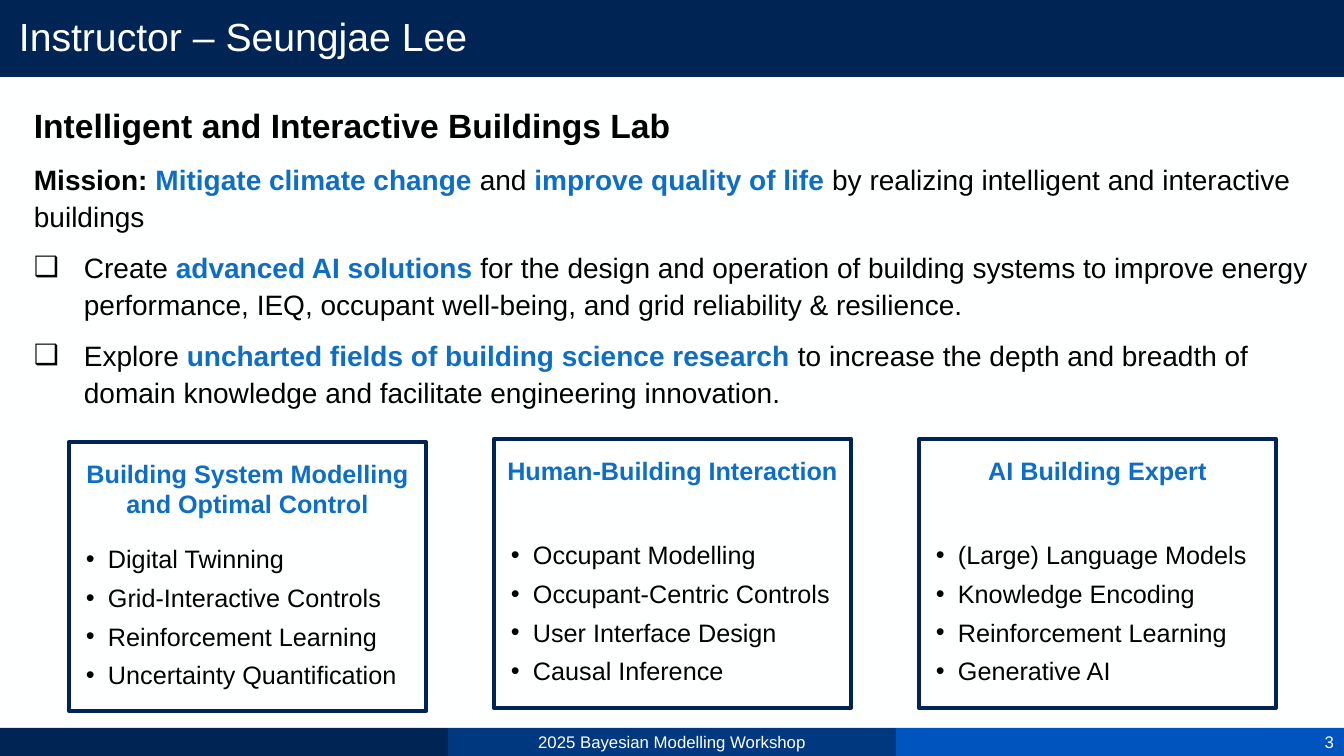
from dataclasses import dataclass

from lxml.etree import SubElement
from pptx import Presentation
from pptx.dml.color import RGBColor
from pptx.enum.shapes import MSO_SHAPE as Shape
from pptx.enum.text import MSO_ANCHOR as Anchor, PP_ALIGN as Align
from pptx.oxml.ns import qn
from pptx.util import Pt

PAGE_WIDTH, PAGE_HEIGHT = 1344, 756
HEADER_HEIGHT, FOOTER_HEIGHT = 77, 28


@dataclass(frozen=True)
class Theme:
    font: str = "Arial"
    paper: str = "FEFFFF"
    ink: str = "000000"
    accent: str = "0E6EC6"
    navy: str = "002554"
    blue: str = "00387F"
    bright: str = "0054BE"
    title: int = 28
    heading: int = 24
    body: int = 20
    card: int = 18
    footer: int = 12


THEME = Theme()

# Phrases between asterisks are highlighted.
GOALS = [
    "Create *advanced AI solutions* for the design and operation of building systems to improve "
    "energy performance, IEQ, occupant well-being, and grid reliability & resilience.",
    "Explore *uncharted fields of building science research* to increase the depth and breadth of "
    "domain knowledge and facilitate engineering innovation.",
]

# Top edge, space after the title, title, topics.
CARDS = [
    (442, 18, "Building System Modelling and Optimal Control",
     ["Digital Twinning", "Grid-Interactive Controls", "Reinforcement Learning",
      "Uncertainty Quantification"]),
    (439, 39, "Human-Building Interaction",
     ["Occupant Modelling", "Occupant-Centric Controls", "User Interface Design",
      "Causal Inference"]),
    (439, 39, "AI Building Expert",
     ["(Large) Language Models", "Knowledge Encoding", "Reinforcement Learning",
      "Generative AI"]),
]


def px(length):
    return round(length * 914400 / 100.8)


def rgb(color):
    return RGBColor.from_string(color)


def add_box(page, left, top, width, height, fill, line=None):
    box = page.shapes.add_shape(Shape.RECTANGLE, px(left), px(top), px(width), px(height))
    box.shadow.inherit = False
    box.fill.solid()
    box.fill.fore_color.rgb = rgb(fill)
    if line:
        box.line.color.rgb = rgb(line)
        box.line.width = Pt(3)
    else:
        box.line.fill.background()
    return box


def add_text_frame(page, left, top, width, height, anchor=Anchor.TOP):
    frame = page.shapes.add_textbox(px(left), px(top), px(width), px(height)).text_frame
    frame.word_wrap = True
    frame.vertical_anchor = anchor
    return frame


def add_span(para, text, size, color=THEME.ink, bold=False):
    span = para.add_run()
    span.text = text
    span.font.name = THEME.font
    span.font.size = Pt(size)
    span.font.bold = bold
    span.font.color.rgb = rgb(color)


def add_para(frame, text, size, align=Align.LEFT, color=THEME.ink, bold=False,
             before=0, after=0, spacing=1.0, bullet=None, margin=0, hang=0):
    """Add a paragraph, using the frame's first one while it is still empty."""
    first = frame.paragraphs[0]
    para = frame.add_paragraph() if first.runs else first
    para.alignment = align
    para.space_before, para.space_after = Pt(before), Pt(after)
    para.line_spacing = spacing
    if bullet:
        properties = para._p.get_or_add_pPr()
        properties.set("marL", str(px(margin)))
        properties.set("indent", str(-px(hang)))
        SubElement(properties, qn("a:buFont"), typeface=THEME.font)
        SubElement(properties, qn("a:buChar"), char=bullet)
    for index, part in enumerate(text.split("*")):
        if part and index % 2:
            add_span(para, part, size, THEME.accent, True)
        elif part:
            add_span(para, part, size, color, bold)
    return para


def add_header(page, title):
    add_box(page, 0, 0, PAGE_WIDTH, HEADER_HEIGHT, THEME.navy)
    frame = add_text_frame(page, 9, 4, 1325, 69, Anchor.MIDDLE)
    add_para(frame, title, THEME.title, color=THEME.paper, spacing=0.9)


def add_footer(page, event, number):
    top = PAGE_HEIGHT - FOOTER_HEIGHT
    third = PAGE_WIDTH // 3
    for column, fill in enumerate((THEME.navy, THEME.blue, THEME.bright)):
        add_box(page, column * third, top, third, FOOTER_HEIGHT, fill)
    for left, width, text, align in ((third, third, event, Align.CENTER),
                                     (1282, 62, number, Align.RIGHT)):
        frame = add_text_frame(page, left, top - 1, width, 30, Anchor.MIDDLE)
        add_para(frame, text, THEME.footer, align, THEME.paper)


def add_mission(page):
    frame = add_text_frame(page, 24, 96, 1295, 608)
    rhythm = {"before": 10, "spacing": 1.1}
    add_para(frame, "Intelligent and Interactive Buildings Lab", THEME.heading, bold=True, **rhythm)
    mission = add_para(frame, "", THEME.body, **rhythm)
    for text, color, bold in (
        ("Mission: ", THEME.ink, True),
        ("Mitigate climate change ", THEME.accent, True),
        ("and ", THEME.ink, False),
        ("improve quality of life ", THEME.accent, True),
        ("by realizing intelligent and interactive buildings", THEME.ink, False),
    ):
        add_span(mission, text, THEME.body, color, bold)
    for goal in GOALS:
        add_para(frame, goal, THEME.body, bullet="❑", margin=50, hang=50, **rhythm)


def add_card(page, left, top, title_gap, title, topics):
    frame = add_box(page, left, top, 357, 269, THEME.paper, THEME.navy).text_frame
    frame.word_wrap = True
    frame.vertical_anchor = Anchor.TOP
    frame.margin_left = frame.margin_right = px(10)
    frame.margin_top, frame.margin_bottom = px(16), px(5)
    add_para(frame, title, THEME.card, Align.CENTER, THEME.accent, True, after=title_gap)
    for topic in topics:
        add_para(frame, topic, THEME.card, after=6, bullet="•", margin=29, hang=22)


def main():
    deck = Presentation()
    deck.slide_width, deck.slide_height = px(PAGE_WIDTH), px(PAGE_HEIGHT)
    page = deck.slides.add_slide(deck.slide_layouts[6])
    page.background.fill.solid()
    page.background.fill.fore_color.rgb = rgb(THEME.paper)
    add_footer(page, "2025 Bayesian Modelling Workshop", "3")
    add_header(page, "Instructor – Seungjae Lee")
    add_mission(page)
    for column, card in enumerate(CARDS):
        add_card(page, 69 + column * 425, *card)
    deck.save("out.pptx")


if __name__ == "__main__":
    main()
